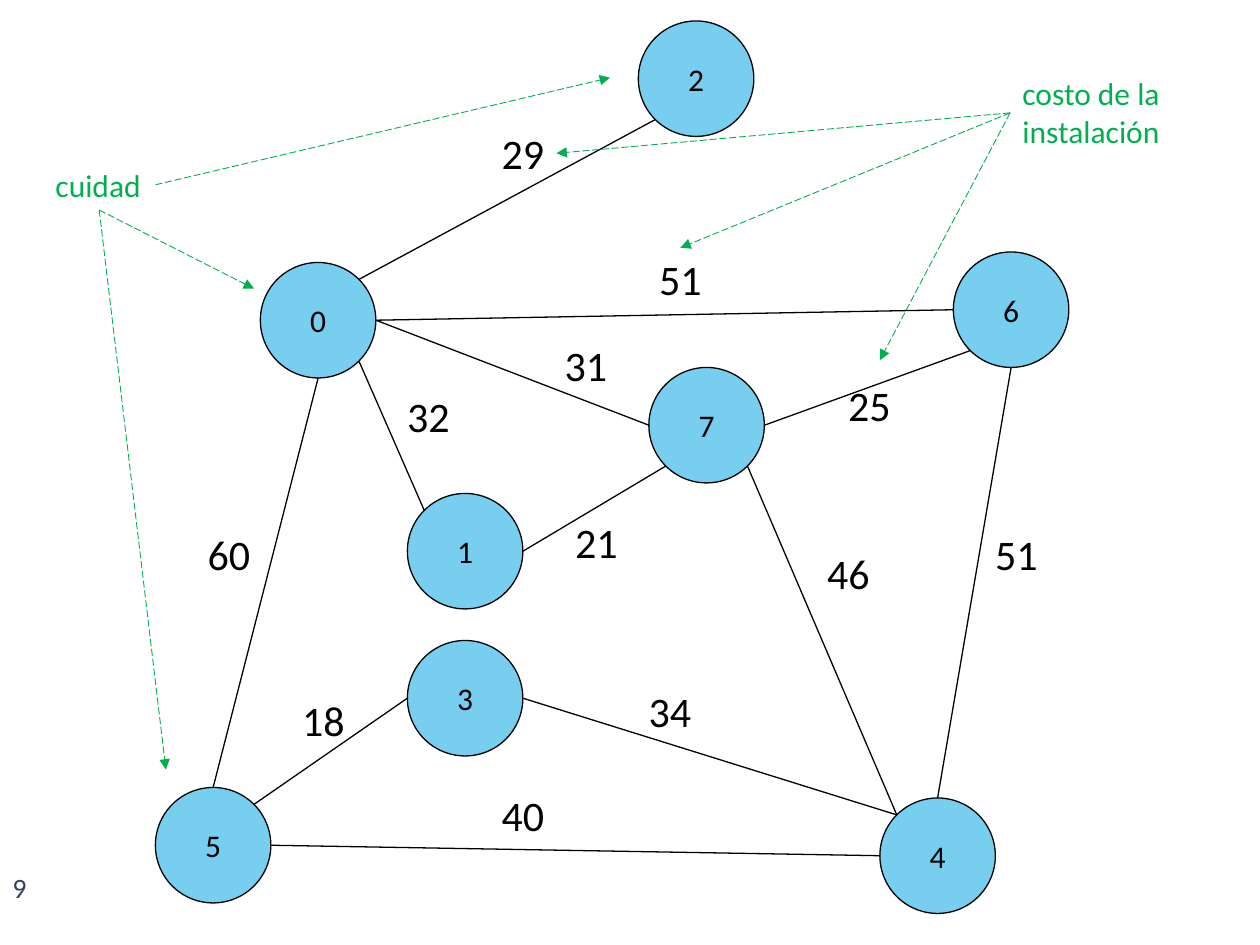
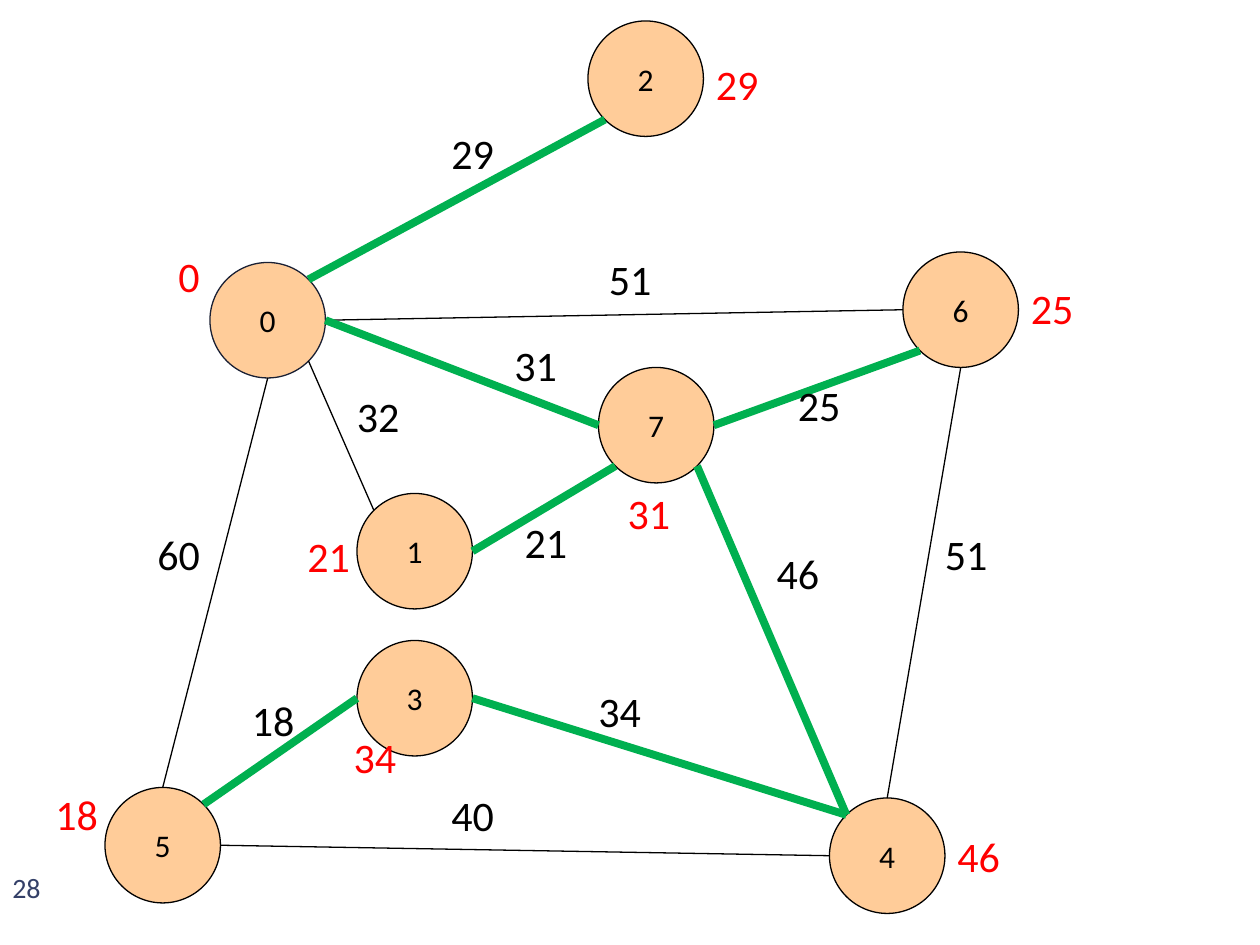
import math

import pptx
import pptx.dml.color
import pptx.enum.dml
import pptx.enum.shapes
import pptx.enum.text
import pptx.oxml.ns
import pptx.util
from lxml import etree

EMU_PER_PX = 7620
SLIDE_SIZE = (1200, 900)
BLANK_LAYOUT = 6

FONT = "Calibri"
BLACK, GREEN, RED = "000000", "00B050", "FF0000"
NUMBER_COLOUR = "344068"
START_OUTLINE = "1A2034"
CITY_SIZE = 110
WEIGHT_BOX = (65, 60)
START_COST_BOX = (44, 60)

THIN = {"width": pptx.util.Pt(0.75)}
THICK = {"width": pptx.util.Pt(4.5)}
POINTER = {"width": pptx.util.Pt(0.5),
           "dash_style": pptx.enum.dml.MSO_LINE.LONG_DASH}

# Left and top of each city
CITIES = {
    0: (200, 250), 4: (790, 760), 3: (340, 610), 5: (100, 750),
    1: (340, 470), 7: (570, 350), 6: (860, 240), 2: (560, 20),
}
# Directions around a city, in degrees clockwise from the right
ANGLES = {"E": 0, "SE": 45, "S": 90, "SW": 135,
          "W": 180, "NW": 225, "N": 270, "NE": 315}
# City, side, city, side, installation cost, left and top of the cost
ROUTES = [
    (0, "NE", 2, "SW", 29, (418, 116)),
    (0, "E", 6, "W", 51, (568, 236)),
    (0, "E", 7, "W", 31, (478, 317)),
    (0, "SE", 1, "NW", 32, (328, 366)),
    (0, "S", 5, "N", 60, (138, 497)),
    (5, "NE", 3, "W", 18, (228, 656)),
    (3, "E", 4, "NW", 34, (558, 647)),
    (5, "E", 4, "W", 40, (418, 746)),
    (1, "E", 7, "SW", 21, (488, 486)),
    (7, "E", 6, "SW", 25, (748, 356)),
    (7, "SE", 4, "NW", 46, (728, 516)),
    (6, "S", 4, "N", 51, (888, 497)),
]
SPANNING_TREE = {(0, 2), (0, 7), (5, 3), (3, 4), (1, 7), (7, 6), (7, 4)}
# Cheapest connection of each city, with its left and top
CITY_COSTS = [
    (29, (670, 50)), (25, (970, 263)), (46, (900, 785)), (18, (41, 745)),
    (21, (281, 499)), (34, (325, 691)), (31, (586, 458)),
]
# Text, box, and for each pointer the side it leaves and its target
CALLOUTS = [
    ("cuidad", (41, 152, 107, 48),
     [(3, (581, 74)), (2, (242, 275)), (2, (158, 733))]),
    ("costo de la\ninstalación", (962, 65, 156, 85),
     [(1, (530, 146)), (1, (648, 236)), (1, (838, 343))]),
]


def emu(*lengths):
    return [pptx.util.Emu(round(length * EMU_PER_PX)) for length in lengths]


def rgb(colour):
    return pptx.dml.color.RGBColor.from_string(colour)


def apply(target, formats):
    for name, value in formats.items():
        setattr(target, name, value)


def write(shape, text, size, colour, paragraph_format=None, **frame_format):
    frame = shape.text_frame
    frame.text = text
    apply(frame, frame_format)
    for paragraph in frame.paragraphs:
        apply(paragraph, paragraph_format or {})
        for run in paragraph.runs:
            apply(run.font, {"name": FONT, "size": pptx.util.Pt(size)})
            run.font.color.rgb = rgb(colour)


def add_label(slide, text, box, colour, size=24):
    label = slide.shapes.add_textbox(*emu(*box))
    write(label, text, size, colour, word_wrap=False,
          auto_size=pptx.enum.text.MSO_AUTO_SIZE.SHAPE_TO_FIT_TEXT)
    return label


def add_slide_number(slide, number):
    box = slide.shapes.add_textbox(*emu(0, 820, 70, 50))
    write(box, number, 16, NUMBER_COLOUR, word_wrap=True,
          vertical_anchor=pptx.enum.text.MSO_ANCHOR.MIDDLE)


def add_city(slide, name, corner, fill, outline):
    city = slide.shapes.add_shape(pptx.enum.shapes.MSO_SHAPE.OVAL,
                                  *emu(*corner, CITY_SIZE, CITY_SIZE))
    city.shadow.inherit = False
    city.fill.solid()
    city.fill.fore_color.rgb = rgb(fill)
    city.line.color.rgb = rgb(outline)
    apply(city.line, THIN)
    write(city, name, 18, BLACK,
          {"alignment": pptx.enum.text.PP_ALIGN.CENTER}, word_wrap=False,
          vertical_anchor=pptx.enum.text.MSO_ANCHOR.MIDDLE)


def add_line(slide, start, end, colour, line_format):
    line = slide.shapes.add_connector(
        pptx.enum.shapes.MSO_CONNECTOR.STRAIGHT, *emu(*start, *end))
    line.line.color.rgb = rgb(colour)
    apply(line.line, line_format)
    etree.SubElement(line._element.spPr, pptx.oxml.ns.qn("a:effectLst"))
    return line


def add_pointer(slide, label, side, target):
    pointer = add_line(slide, target, target, GREEN, POINTER)
    pointer.begin_connect(label, side)
    outline = pointer._element.spPr.find(pptx.oxml.ns.qn("a:ln"))
    etree.SubElement(outline, pptx.oxml.ns.qn("a:tailEnd"), type="triangle")


def shifted(corner, shift):
    return corner[0] + shift, corner[1]


def rim_point(city, side, shift):
    """Point on the circle of a city in the given direction."""
    left, top = shifted(CITIES[city], shift)
    radius = CITY_SIZE / 2
    angle = math.radians(ANGLES[side])
    return (left + radius * (1 + math.cos(angle)),
            top + radius * (1 + math.sin(angle)))


def add_network(slide, fill, start_outline=BLACK, shift=0, tree=()):
    """Draw cities, routes and costs; routes in the tree are highlighted."""
    for city, corner in CITIES.items():
        add_city(slide, str(city), shifted(corner, shift), fill,
                 start_outline if city == 0 else BLACK)
    for origin, leaving, target, arriving, _, _ in ROUTES:
        chosen = (origin, target) in tree
        add_line(slide, rim_point(origin, leaving, shift),
                 rim_point(target, arriving, shift),
                 GREEN if chosen else BLACK, THICK if chosen else THIN)
    for *_, cost, corner in ROUTES:
        add_label(slide, str(cost), shifted(corner, shift) + WEIGHT_BOX, BLACK)


def build_problem(slide):
    add_slide_number(slide, "9")
    add_network(slide, "77CEEF", shift=48)
    for text, box, pointers in CALLOUTS:
        label = add_label(slide, text, box, GREEN, 18)
        for side, target in pointers:
            add_pointer(slide, label, side, target)


def build_solution(slide):
    add_slide_number(slide, "28")
    add_network(slide, "FFCC99", START_OUTLINE, tree=SPANNING_TREE)
    add_label(slide, "0", (158, 233) + START_COST_BOX, RED)
    for cost, corner in CITY_COSTS:
        add_label(slide, str(cost), corner + WEIGHT_BOX, RED)


def main():
    deck = pptx.Presentation()
    deck.slide_width, deck.slide_height = emu(*SLIDE_SIZE)
    for build in (build_problem, build_solution):
        build(deck.slides.add_slide(deck.slide_layouts[BLANK_LAYOUT]))
    deck.save("out.pptx")


if __name__ == "__main__":
    main()
